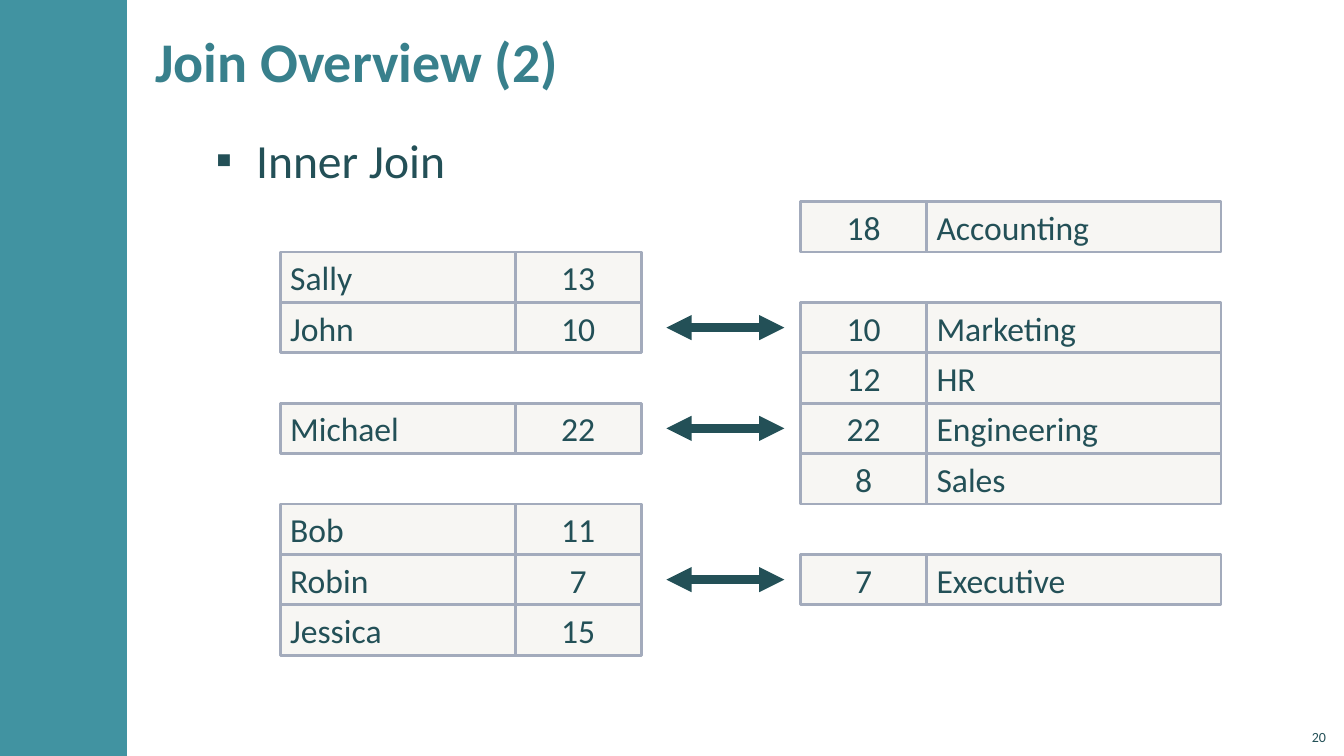
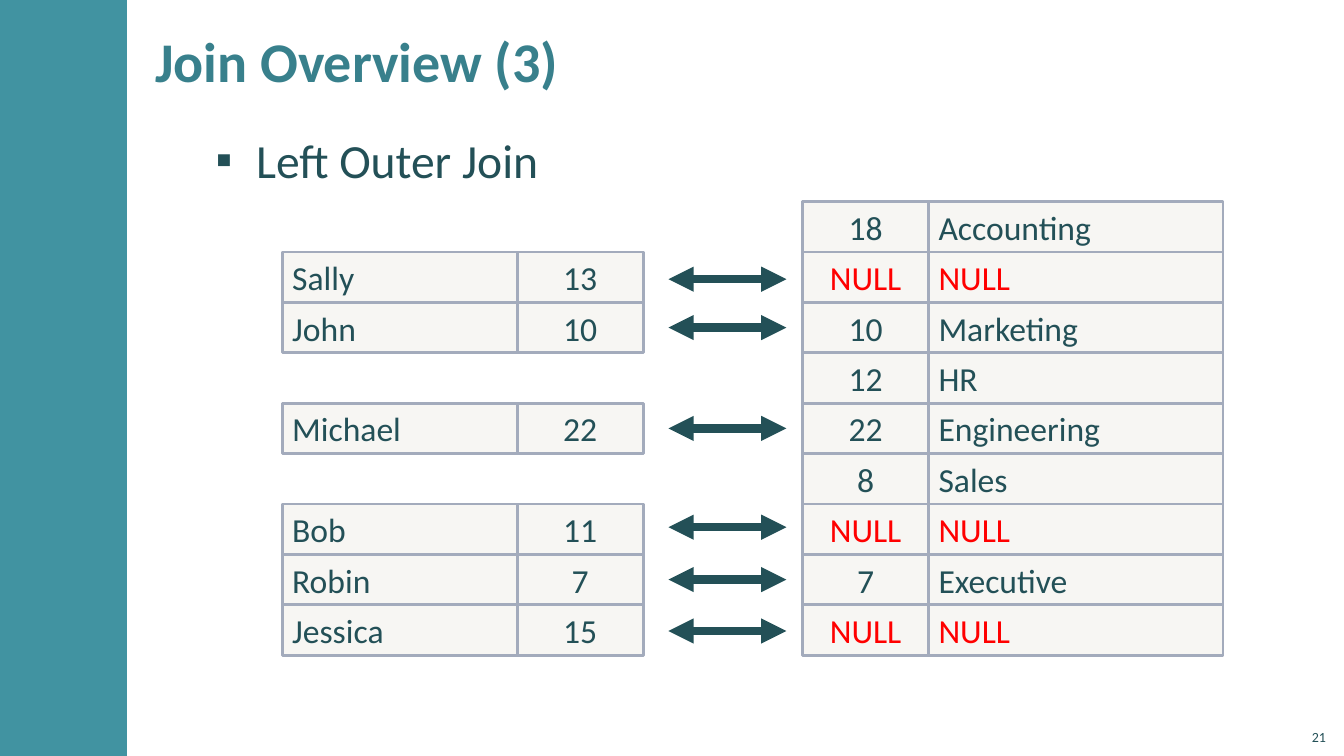
from lxml.etree import SubElement
from pptx import Presentation
from pptx.dml.color import RGBColor
from pptx.enum.shapes import MSO_CONNECTOR, MSO_SHAPE
from pptx.enum.text import MSO_ANCHOR, PP_ALIGN
from pptx.oxml.ns import qn
from pptx.util import Pt

STAFF = {1: ("Sally", "13"), 2: ("John", "10"), 4: ("Michael", "22"),
         6: ("Bob", "11"), 7: ("Robin", "7"), 8: ("Jessica", "15")}
DEPTS = {0: ("18", "Accounting"), 2: ("10", "Marketing"), 3: ("12", "HR"),
         4: ("22", "Engineering"), 5: ("8", "Sales"), 7: ("7", "Executive")}
EMPTY = {row: ("NULL", "NULL") for row in (1, 6, 8)}

SLIDES = [
    {"title": "Join Overview (2)", "topic": "Inner Join", "page": "20",
     "depts": DEPTS, "shift": 0},
    {"title": "Join Overview (3)", "topic": "Left Outer Join", "page": "21",
     "depts": DEPTS | EMPTY, "shift": 2},
]

PX = 9144
FONT = "Calibri"
TEAL, TITLE, INK = "4193A1", "38808C", "235057"
SAND, EDGE, RED = "D9D5C7", "A3ABBC", "FF0000"
TOP, ROW = 200, 50
NAME, CODE, DEPT = 233, 125, 292
LEFT, RIGHT = 278, 794
START, END = 661, 778
NUDGE = {1: 2, 6: -2, 8: 1}
INSET = (12, 4, 12, 4)


def color(code):
    return RGBColor.from_string(code)


def px(*sizes):
    return [size * PX for size in sizes]


def write(shape, text, size, tint=INK, bold=False, align=PP_ALIGN.LEFT,
          anchor=MSO_ANCHOR.MIDDLE, inset=(10, 5, 10, 5)):
    frame = shape.text_frame
    frame.text = text
    frame.word_wrap = True
    frame.vertical_anchor = anchor
    (frame.margin_left, frame.margin_top,
     frame.margin_right, frame.margin_bottom) = px(*inset)
    para = frame.paragraphs[0]
    para.alignment = align
    font = para.runs[0].font
    font.name, font.size, font.bold = FONT, Pt(size), bold
    font.color.rgb = color(tint)
    return para


def label(slide, box, text, size, **style):
    return write(slide.shapes.add_textbox(*px(*box)), text, size, **style)


def block(slide, box, fill):
    shape = slide.shapes.add_shape(MSO_SHAPE.RECTANGLE, *px(*box))
    shape.shadow.inherit = False
    shape.fill.solid()
    shape.fill.fore_color.rgb = color(fill)
    shape.line.fill.background()
    return shape


def cell(slide, box, text, align):
    shape = block(slide, box, SAND)
    tone = shape._element.spPr.find(qn("a:solidFill"))[0]
    SubElement(tone, qn("a:alpha"), val="20000")
    shape.line.color.rgb = color(EDGE)
    shape.line.width = Pt(2)
    write(shape, text, 24, tint=RED if text == "NULL" else INK, align=align)


def grid(slide, left, rows, cols):
    for row, texts in rows.items():
        x = left
        for text, (width, align) in zip(texts, cols):
            cell(slide, (x, TOP + row * ROW, width, ROW), text, align)
            x += width


def arrow(slide, x1, x2, y):
    line = slide.shapes.add_connector(MSO_CONNECTOR.STRAIGHT, *px(x1, y, x2, y))
    line.line.color.rgb = color(INK)
    line.line.width = Pt(6)
    props = line._element.spPr
    for end in ("a:headEnd", "a:tailEnd"):
        SubElement(props.find(qn("a:ln")), qn(end), type="triangle")
    SubElement(props, qn("a:effectLst"))


def bullet(para):
    para.line_spacing = 1.05
    para.space_before = para.space_after = Pt(6)
    props = para._p.get_or_add_pPr()
    props.set("marL", str(40 * PX))
    props.set("indent", str(-40 * PX))
    SubElement(props, qn("a:buFont"), typeface="Arial")
    SubElement(props, qn("a:buChar"), char="▪")


def frame(slide, data):
    block(slide, (0, 0, 126, 750), TEAL)
    label(slide, (142, 11, 934, 97), data["title"], 40,
          tint=TITLE, bold=True, inset=INSET)
    bullet(label(slide, (202, 123, 1110, 577), data["topic"], 34,
                 anchor=MSO_ANCHOR.TOP, inset=INSET))
    label(slide, (1285, 712, 40, 32), data["page"], 10,
          align=PP_ALIGN.RIGHT, anchor=MSO_ANCHOR.BOTTOM)


def main():
    deck = Presentation()
    deck.slide_width, deck.slide_height = px(1333, 750)
    name, code, dept = ((NAME, PP_ALIGN.LEFT), (CODE, PP_ALIGN.CENTER),
                        (DEPT, PP_ALIGN.LEFT))
    for data in SLIDES:
        slide = deck.slides.add_slide(deck.slide_layouts[6])
        shift, depts = data["shift"], data["depts"]
        frame(slide, data)
        grid(slide, LEFT + shift, STAFF, (name, code))
        grid(slide, RIGHT + shift, depts, (code, dept))
        for row in STAFF:
            if row in depts:
                y = TOP + row * ROW + ROW // 2 + NUDGE.get(row, 0)
                arrow(slide, START + shift, END + shift, y)
    deck.save("out.pptx")


if __name__ == "__main__":
    main()
